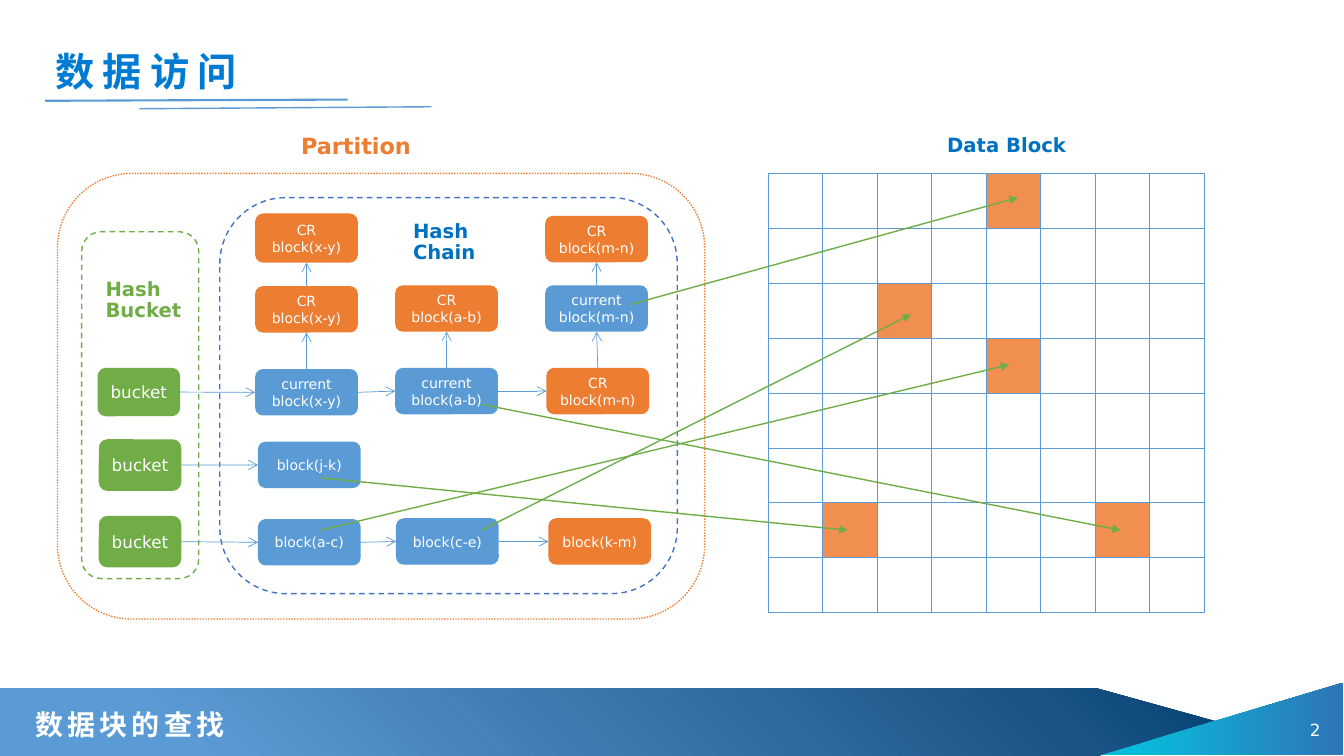
from lxml import etree
from pptx import Presentation
from pptx.dml.color import RGBColor
from pptx.enum.dml import MSO_LINE_DASH_STYLE as Dash
from pptx.enum.shapes import MSO_CONNECTOR as Connector, MSO_SHAPE as Shape
from pptx.enum.text import MSO_ANCHOR as Anchor, MSO_AUTO_SIZE as AutoSize, PP_ALIGN as Align
from pptx.oxml import parse_xml
from pptx.oxml.ns import qn
from pptx.util import Cm, Pt

FONT = "DejaVu Sans"
NAMESPACE = 'xmlns:a="http://schemas.openxmlformats.org/drawingml/2006/main"'
BLUE, ORANGE, GREEN = "5B9BD5", "ED7D31", "70AD47"
DEEP_BLUE, WHITE, HIT = "0070C0", "FFFFFF", "F08F4F"

# Content; lengths in cm
TITLE = "数据访问"
FRAMES = [  # left, top, width, height, line colour, dash
    (1.45, 4.37, 16.31, 11.23, ORANGE, Dash.ROUND_DOT),
    (5.54, 4.98, 11.53, 9.98, "4472C4", Dash.DASH),
    (2.06, 5.84, 2.95, 8.74, GREEN, Dash.DASH),
]
LABELS = [  # text, left, top, width, height, size, colour
    ("Partition", 7.34, 3.28, 3.35, 0.99, 16, ORANGE),
    ("Hash\nBucket", 2.41, 6.91, 2.64, 1.42, 14, GREEN),
    ("Hash Chain", 10.16, 5.46, 2.87, 2.18, 14, DEEP_BLUE),
    ("Data Block", 23.62, 3.28, 4.47, 0.84, 14, DEEP_BLUE),
]
BUCKETS = {  # left, top, height
    "bucket 1": (2.46, 9.27, 1.22),
    "bucket 2": (2.49, 11.07, 1.3),
    "bucket 3": (2.49, 13.0, 1.3),
}
BLOCKS = {  # text, colour, left, top, height
    "xy": ("current\nblock(x-y)", BLUE, 6.43, 9.3, 1.17),
    "xy CR 1": ("CR\nblock(x-y)", ORANGE, 6.43, 7.21, 1.17),
    "xy CR 2": ("CR\nblock(x-y)", ORANGE, 6.43, 5.38, 1.24),
    "ab": ("current\nblock(a-b)", BLUE, 9.96, 9.27, 1.17),
    "ab CR": ("CR\nblock(a-b)", ORANGE, 9.96, 7.19, 1.17),
    "mn CR 1": ("CR\nblock(m-n)", ORANGE, 13.77, 9.27, 1.17),
    "mn": ("current\nblock(m-n)", BLUE, 13.74, 7.19, 1.17),
    "mn CR 2": ("CR\nblock(m-n)", ORANGE, 13.74, 5.44, 1.17),
    "jk": ("block(j-k)", BLUE, 6.5, 11.13, 1.17),
    "ac": ("block(a-c)", BLUE, 6.5, 13.08, 1.17),
    "ce": ("block(c-e)", BLUE, 9.98, 13.06, 1.17),
    "km": ("block(k-m)", ORANGE, 13.82, 13.06, 1.17),
}
ROW_CHAINS = [("bucket 1", "xy", "ab", "mn CR 1"), ("bucket 2", "jk"),
              ("bucket 3", "ac", "ce", "km")]
UP_CHAINS = [("xy", "xy CR 1", "xy CR 2"), ("ab", "ab CR"), ("mn CR 1", "mn", "mn CR 2")]
GRID_SIZE = 8
HIT_CELLS = {(0, 4), (2, 2), (3, 4), (6, 1), (6, 6)}
LOOKUPS = [  # from x, y, to x, y
    (15.9, 7.67, 25.65, 4.98),
    (8.08, 13.36, 25.43, 9.19),
    (12.14, 10.19, 28.24, 13.36),
    (12.14, 13.36, 22.96, 7.92),
    (8.08, 12.04, 21.36, 13.36),
]
UNDERLINES = [(1.14, 2.54, 8.76, 2.51, 1.5), (3.51, 2.74, 10.87, 2.69, 1)]

presentation = Presentation()
presentation.slide_width, presentation.slide_height = Cm(33.87), Cm(19.05)
slide = presentation.slides.add_slide(presentation.slide_layouts[5])
shapes = slide.shapes


def color(value):
    return RGBColor.from_string(value)


def write(shape, text, size, font_color, bold=False, align=Align.LEFT,
          anchor=Anchor.TOP, line_spacing=1.0, tracking=0, wrap=True):
    frame = shape.text_frame
    frame.text = text
    frame.word_wrap, frame.auto_size = wrap, AutoSize.NONE
    frame.vertical_anchor = anchor
    for paragraph in frame.paragraphs:
        paragraph.alignment, paragraph.line_spacing = align, line_spacing
        font = paragraph.font
        font.name, font.size, font.bold = FONT, Pt(size), bold
        font.color.rgb = color(font_color)
        if tracking:
            paragraph._p.pPr.find(qn("a:defRPr")).set("spc", str(tracking * 100))


def add_text(box, *args, **options):
    write(shapes.add_textbox(*map(Cm, box)), *args, **options)


def add_box(kind, box, fill):
    shape = shapes.add_shape(kind, *map(Cm, box))
    shape.shadow.inherit = False
    shape.fill.solid()
    shape.fill.fore_color.rgb = color(fill)
    shape.line.fill.background()
    return shape


def add_line(points, line_color, width, head=None):
    line = shapes.add_connector(Connector.STRAIGHT, *map(Cm, points))
    line.line.color.rgb, line.line.width = color(line_color), Pt(width)
    if head:
        etree.SubElement(line.line._get_or_add_ln(), qn("a:tailEnd"), type=head)
    etree.SubElement(line._element.spPr, qn("a:effectLst"))
    return line


def set_gradient(shape, stops, direction):
    stop_xml = "".join(f'<a:gs pos="{position * 1000}"><a:srgbClr val="{value}"/></a:gs>'
                       for position, value in stops)
    solid = shape._element.spPr.find(qn("a:solidFill"))
    solid.getparent().replace(solid, parse_xml(
        f'<a:gradFill {NAMESPACE} rotWithShape="1"><a:gsLst>{stop_xml}</a:gsLst>'
        f'{direction}</a:gradFill>'))


# Footer band
band = add_box(Shape.PENTAGON, (0, 17.35, 30.73, 1.7), BLUE)
band.adjustments[0] = 1.81
set_gradient(band, [(15, BLUE), (84, "1D5487"), (100, "034373")],
             '<a:path path="circle"><a:fillToRect t="100000" r="100000"/></a:path>')
corner = add_box(Shape.RIGHT_TRIANGLE, (29.87, 15.06, 1.83, 6.12), BLUE)
corner.rotation = 270
set_gradient(corner, [(15, "09BBDB"), (100, "2E75B6")], '<a:lin ang="5400000" scaled="0"/>')
add_text((0.64, 17.68, 5.41, 1.12), "数据块的查找", 20, WHITE, bold=True,
         anchor=Anchor.MIDDLE, tracking=3, wrap=False)
add_text((31.83, 17.88, 1.7, 1.02), "2", 12, WHITE, align=Align.RIGHT, anchor=Anchor.MIDDLE)

# Title with its two underlines
title = shapes.title
title.left, title.top, title.width, title.height = map(Cm, (1.14, 1.04, 5.36, 1.47))
write(title, TITLE, 28, "007BD3", bold=True, anchor=Anchor.MIDDLE, tracking=6, wrap=False)
for *points, width in UNDERLINES:
    add_line(points, BLUE, width)

# Frames and labels
for *box, line_color, dash in FRAMES:
    frame_shape = add_box(Shape.ROUNDED_RECTANGLE, box, WHITE)
    frame_shape.line.color.rgb, frame_shape.line.width = color(line_color), Pt(1)
    frame_shape.line.dash_style = dash
for text, *box, size, label_color in LABELS:
    add_text(box, text, size, label_color, bold=True, line_spacing=0.9)

# Buckets and blocks
nodes = {}
for name, (left, top, height) in BUCKETS.items():
    nodes[name] = add_box(Shape.ROUNDED_RECTANGLE, (left, top, 2.08, height), GREEN)
    write(nodes[name], "bucket", 12, WHITE, align=Align.CENTER, anchor=Anchor.MIDDLE)
for name, (text, fill, left, top, height) in BLOCKS.items():
    nodes[name] = add_box(Shape.ROUNDED_RECTANGLE, (left, top, 2.59, height), fill)
    write(nodes[name], text, 10, WHITE, align=Align.CENTER, anchor=Anchor.MIDDLE)

# Chain arrows: connection sites are 0 top, 1 left, 2 bottom, 3 right
for chains, start_site, end_site in [(ROW_CHAINS, 3, 1), (UP_CHAINS, 0, 2)]:
    for chain in chains:
        for start, end in zip(chain, chain[1:]):
            arrow = add_line((0, 0, 0, 0), BLUE, 0.5, "arrow")
            arrow.begin_connect(nodes[start], start_site)
            arrow.end_connect(nodes[end], end_site)

# Data block grid
grid = shapes.add_table(GRID_SIZE, GRID_SIZE, *map(Cm, (19.35, 4.37, 11.0, 11.07))).table
grid.first_row = grid.horz_banding = False
for row in range(GRID_SIZE):
    for column in range(GRID_SIZE):
        cell = grid.cell(row, column)
        for side in ("lnL", "lnR", "lnT", "lnB"):
            cell._tc.get_or_add_tcPr().append(parse_xml(
                f'<a:{side} {NAMESPACE} w="6350"><a:solidFill><a:srgbClr val="{BLUE}"/>'
                f'</a:solidFill></a:{side}>'))
        cell.fill.solid()
        cell.fill.fore_color.rgb = color(HIT if (row, column) in HIT_CELLS else WHITE)

# Lookups from blocks to grid cells
for points in LOOKUPS:
    add_line(points, GREEN, 1, "triangle")

presentation.save("out.pptx")
